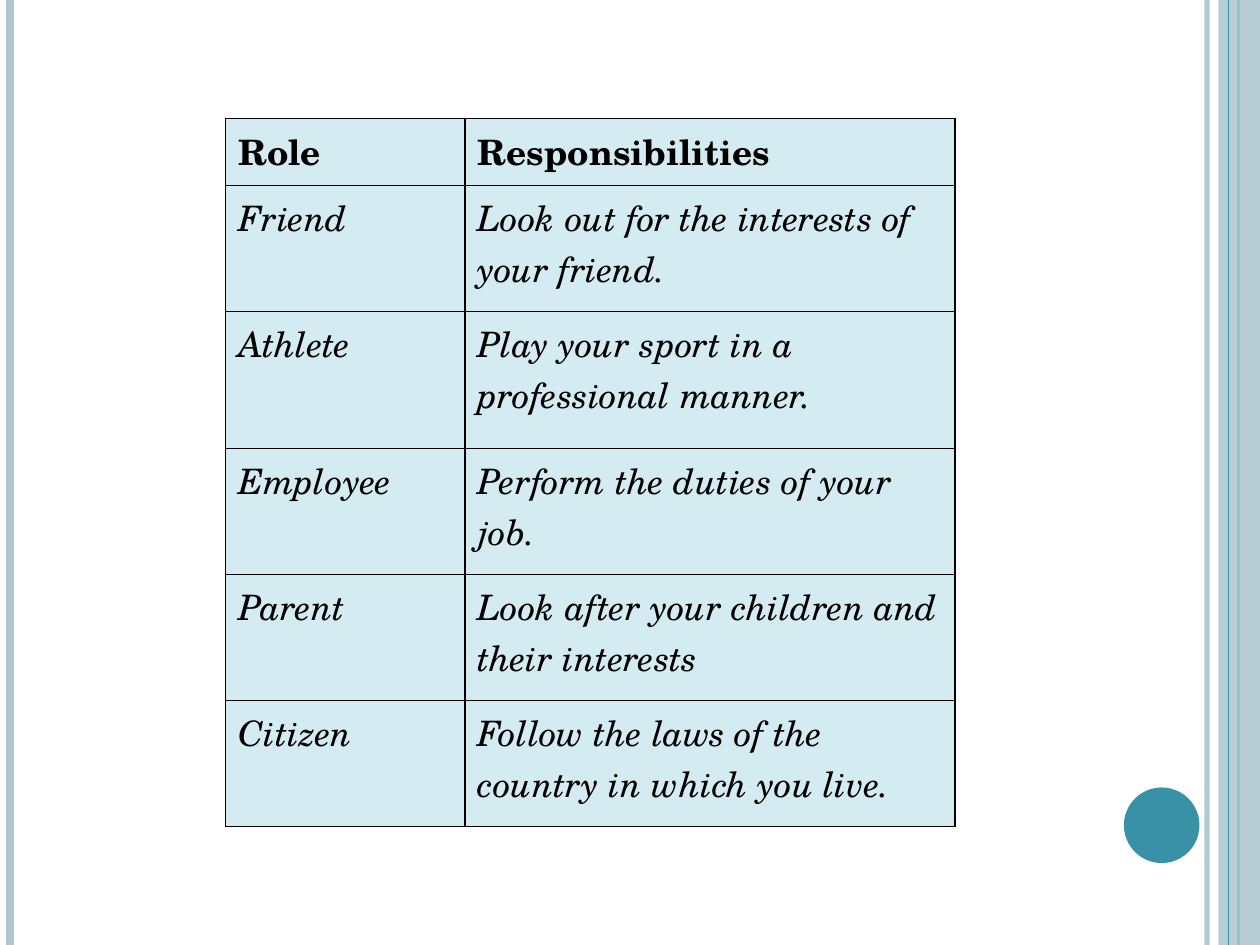
from typing import NamedTuple

from lxml import etree
from pptx import Presentation
from pptx.dml.color import RGBColor
from pptx.enum.shapes import MSO_CONNECTOR, MSO_SHAPE
from pptx.oxml.ns import qn
from pptx.util import Inches, Pt

STRAIGHT = MSO_CONNECTOR.STRAIGHT
RECTANGLE = MSO_SHAPE.RECTANGLE
OVAL = MSO_SHAPE.OVAL

COLORS = {"pale": "AEC7D0", "teal": "3891A7", "cell": "D4EBF1", "ink": "000000"}
FONT = "TeX Gyre Schola"
SLIDE_WIDTH, SLIDE_HEIGHT = 10, 7.5


class Stripe(NamedTuple):
    x: float
    color: str
    weight: float
    opacity: int = 100


class Block(NamedTuple):
    kind: MSO_SHAPE
    left: float
    top: float
    width: float
    height: float
    color: str
    opacity: int = 100


class Duty(NamedTuple):
    role: str
    responsibility: str
    height: float = 1


STRIPES_BEHIND = [
    Stripe(9.58, "pale", 3, 93),
    Stripe(0.08, "pale", 4.5),
    Stripe(9.83, "teal", 1.5),
]
SIDE_BAND = Block(RECTANGLE, 9.67, 0, 0.33, SLIDE_HEIGHT, "pale", 87)
STRIPE_ON_BAND = Stripe(9.75, "teal", 0.75)
DISC = Block(OVAL, 8.92, 6.25, 0.6, 0.6, "teal")

COLUMN_WIDTHS = [1.9, 3.89]
DUTIES = [
    Duty("Role", "Responsibilities", 0.53),
    Duty("Friend", "Look out for the interests of your friend."),
    Duty("Athlete", "Play your sport in a professional manner.", 1.09),
    Duty("Employee", "Perform the duties of your job."),
    Duty("Parent", "Look after your children and their interests"),
    Duty("Citizen", "Follow the laws of the country in which you live."),
]


def rgb(name: str) -> RGBColor:
    return RGBColor.from_string(COLORS[name])


def set_opacity(properties, percent: int) -> None:
    """Make the first solid colour under the properties see-through."""
    if percent < 100:
        color = next(properties.iter(qn("a:srgbClr")))
        etree.SubElement(color, qn("a:alpha"), val=str(percent * 1000))


def draw_stripe(slide, stripe: Stripe) -> None:
    x = Inches(stripe.x)
    line = slide.shapes.add_connector(STRAIGHT, x, 0, x, Inches(SLIDE_HEIGHT))
    line.line.color.rgb = rgb(stripe.color)
    line.line.width = Pt(stripe.weight)
    properties = line._element.spPr
    set_opacity(properties, stripe.opacity)
    etree.SubElement(properties, qn("a:effectLst"))


def draw_block(slide, block: Block) -> None:
    shape = slide.shapes.add_shape(
        block.kind, Inches(block.left), Inches(block.top),
        Inches(block.width), Inches(block.height))
    shape.shadow.inherit = False
    shape.fill.solid()
    shape.fill.fore_color.rgb = rgb(block.color)
    set_opacity(shape._element.spPr, block.opacity)
    shape.line.fill.background()


def add_borders(cell) -> None:
    properties = cell._tc.get_or_add_tcPr()
    for index, side in enumerate(("a:lnL", "a:lnR", "a:lnT", "a:lnB")):
        border = etree.Element(qn(side), w=str(Pt(1)))
        fill = etree.SubElement(border, qn("a:solidFill"))
        etree.SubElement(fill, qn("a:srgbClr"), val=COLORS["ink"])
        properties.insert(index, border)


def format_cell(cell, text: str, is_header: bool) -> None:
    cell.text = text
    cell.fill.solid()
    cell.fill.fore_color.rgb = rgb("cell")
    add_borders(cell)
    para = cell.text_frame.paragraphs[0]
    para.space_before = Pt(2)
    para.font.name = FONT
    para.font.size = Pt(20)
    para.font.bold = is_header
    para.font.italic = not is_header
    para.font.color.rgb = rgb("ink")


def draw_duties(slide, duties: list[Duty]) -> None:
    frame = slide.shapes.add_table(
        len(duties), len(COLUMN_WIDTHS), Inches(1.79), Inches(0.94),
        Inches(sum(COLUMN_WIDTHS)), Inches(sum(duty.height for duty in duties)))
    table = frame.table
    table.horz_banding = False
    for column, width in zip(table.columns, COLUMN_WIDTHS):
        column.width = Inches(width)
    for index, (row, duty) in enumerate(zip(table.rows, duties)):
        row.height = Inches(duty.height)
        for cell, text in zip(row.cells, (duty.role, duty.responsibility)):
            format_cell(cell, text, is_header=index == 0)


def main() -> None:
    deck = Presentation()
    deck.slide_width, deck.slide_height = Inches(SLIDE_WIDTH), Inches(SLIDE_HEIGHT)
    page = deck.slides.add_slide(deck.slide_layouts.get_by_name("Blank"))
    for stripe in STRIPES_BEHIND:
        draw_stripe(page, stripe)
    draw_block(page, SIDE_BAND)
    draw_stripe(page, STRIPE_ON_BAND)
    draw_block(page, DISC)
    draw_duties(page, DUTIES)
    deck.save("out.pptx")


if __name__ == "__main__":
    main()
